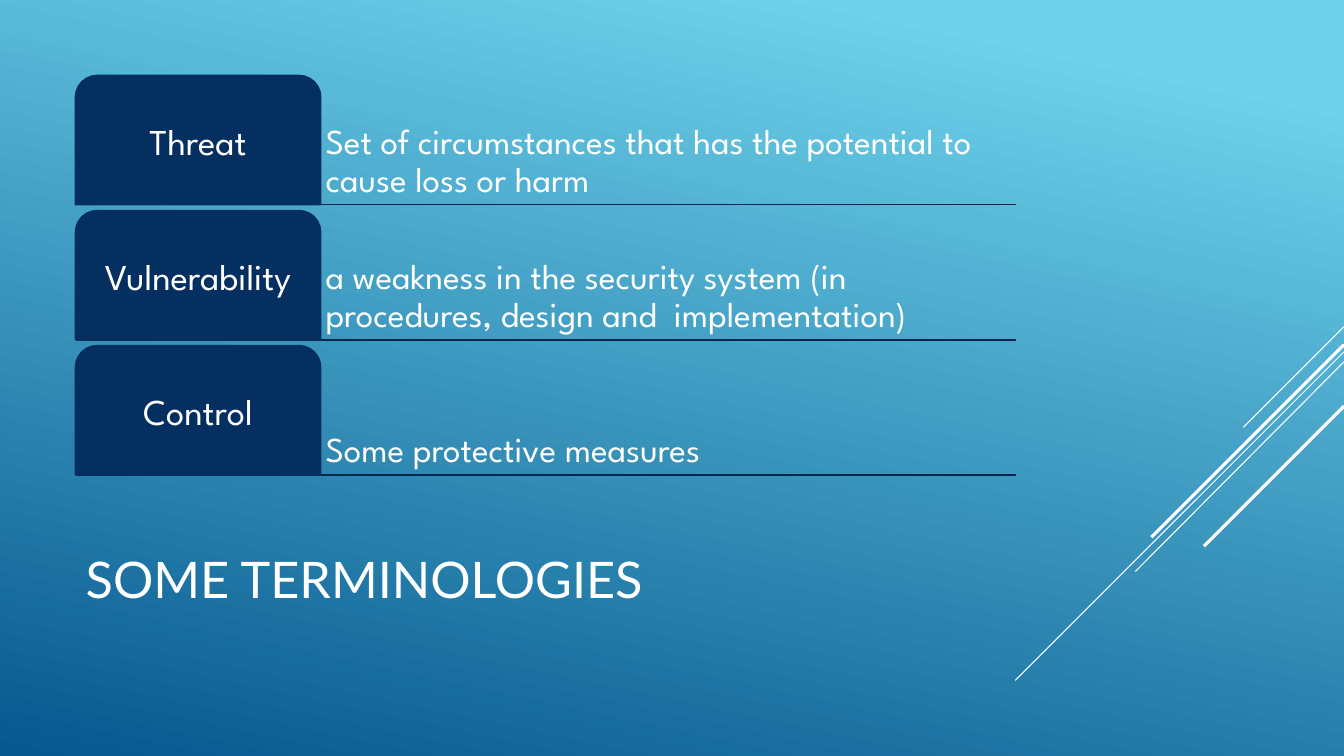
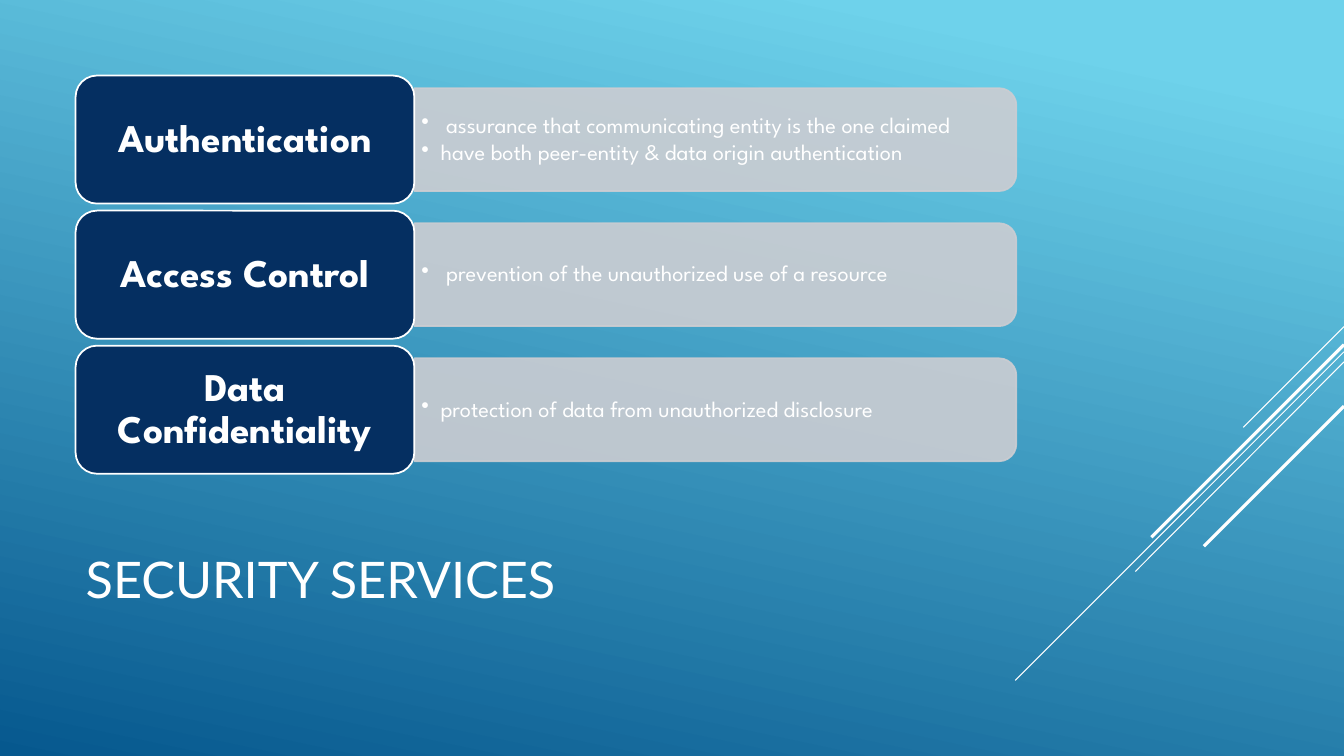
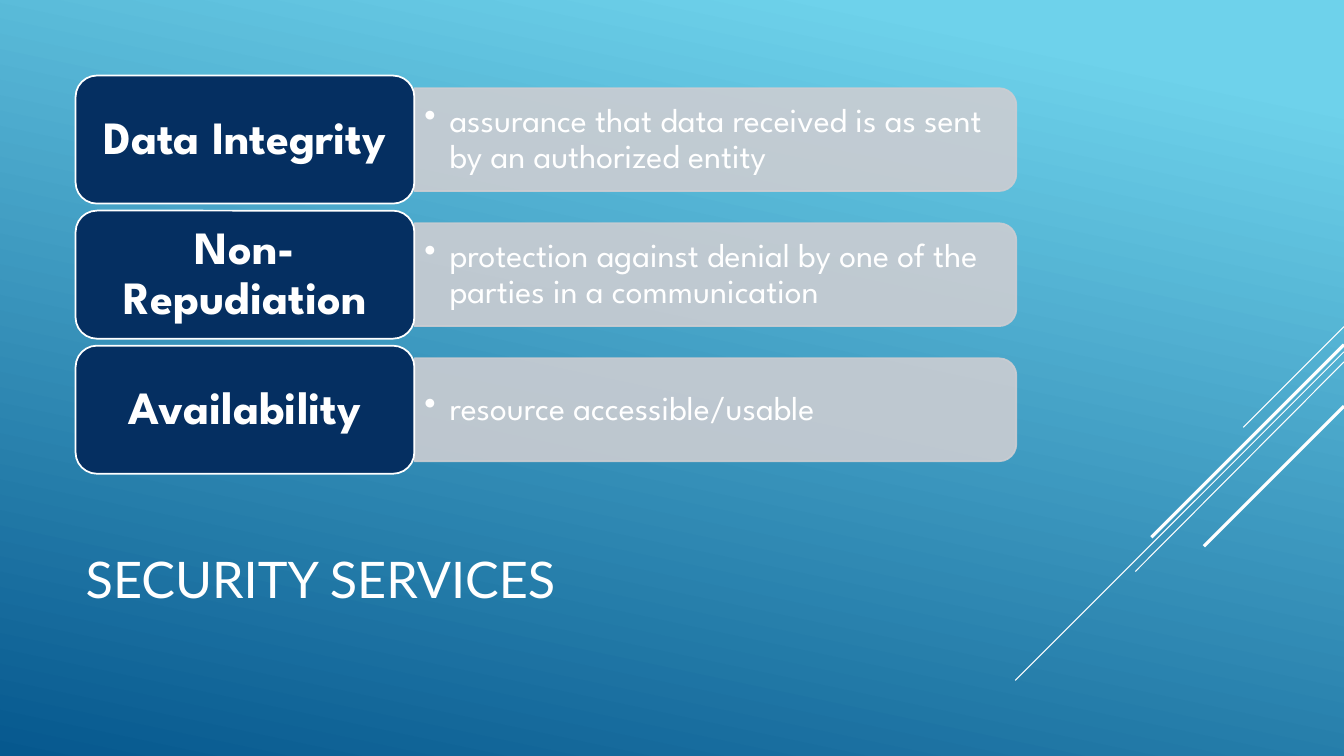
from dataclasses import dataclass

from lxml import etree
from pptx import Presentation
from pptx.dml.color import RGBColor
from pptx.enum.shapes import MSO_CONNECTOR, MSO_SHAPE
from pptx.enum.text import MSO_ANCHOR, MSO_AUTO_SIZE, PP_ALIGN
from pptx.oxml.ns import qn
from pptx.util import Inches, Pt

STRAIGHT = MSO_CONNECTOR.STRAIGHT
ROUNDED = MSO_SHAPE.ROUNDED_RECTANGLE
TOP_ROUNDED = MSO_SHAPE.ROUND_2_SAME_RECTANGLE
MIDDLE, BOTTOM = MSO_ANCHOR.MIDDLE, MSO_ANCHOR.BOTTOM
LEFT, CENTER = PP_ALIGN.LEFT, PP_ALIGN.CENTER
NO_FIT = MSO_AUTO_SIZE.NONE

COLORS = {
    "sky": "6ED2EB",
    "ocean": "06588E",
    "navy": "052F61",
    "rule": "04264E",
    "panel": "CCCDD2",
    "white": "FFFFFF",
}
TITLE_FONT = "Lato"
BODY_FONT = "League Spartan"

CONTENT_LEFT, CONTENT_TOP, CONTENT_RIGHT = 0.75, 0.75, 10.08
ROW_PITCH = 1.34
TAB_WIDTH, TAB_HEIGHT = 2.43, 1.28
CARD_WIDTH, CARD_HEIGHT = 3.36, 1.27
PANEL_HEIGHT, PANEL_OPACITY = 1.02, 90


@dataclass(frozen=True)
class Stripe:
    start_y: float
    end_x: float
    end_y: float
    weight: float


@dataclass(frozen=True)
class Entry:
    term: str
    details: tuple[str, ...]


@dataclass(frozen=True)
class TextStyle:
    size: float
    align: PP_ALIGN = LEFT
    anchor: MSO_ANCHOR = MIDDLE
    inset_x: float = 0.05
    inset_y: float = 0.05
    bold: bool = False
    bullet_indent: float = 0


@dataclass(frozen=True)
class ServiceSlide:
    entries: tuple[Entry, ...]
    term_style: TextStyle
    detail_style: TextStyle


STRIPES = (
    Stripe(3.24, 12.33, 4.24, 0.75),
    Stripe(3.49, 10.07, 6.75, 0.75),
    Stripe(3.59, 11.26, 5.67, 0.75),
    Stripe(3.42, 11.42, 5.33, 2.25),
    Stripe(4.03, 11.94, 5.42, 2.25),
)

TERMINOLOGY = (
    Entry("Threat", ("Set of circumstances that has the potential to cause loss or harm",)),
    Entry("Vulnerability", ("a weakness in the security system (in procedures, design and  implementation)",)),
    Entry("Control", ("Some protective measures",)),
)
TAB_STYLE = TextStyle(26, align=CENTER)
DEFINITION_STYLE = TextStyle(25, anchor=BOTTOM)

SERVICE_SLIDES = (
    ServiceSlide(
        (
            Entry("Authentication", (
                " assurance that communicating entity is the one claimed",
                "have both peer-entity & data origin authentication",
            )),
            Entry("Access Control", (" prevention of the unauthorized use of a resource",)),
            Entry("Data Confidentiality", ("protection of data from unauthorized disclosure",)),
        ),
        TextStyle(28, align=CENTER, inset_x=0.12, inset_y=0.06, bold=True),
        TextStyle(16, inset_x=0.07, inset_y=0.03, bullet_indent=0.19),
    ),
    ServiceSlide(
        (
            Entry("Data Integrity", ("assurance that data received is as sent by an authorized entity",)),
            Entry("Non-Repudiation", ("protection against denial by one of the parties in a communication",)),
            Entry("Availability", ("resource accessible/usable",)),
        ),
        TextStyle(33, align=CENTER, inset_x=0.14, inset_y=0.07, bold=True),
        TextStyle(24, inset_x=0.1, inset_y=0.05, bullet_indent=0.25),
    ),
)


def rgb(name: str) -> RGBColor:
    return RGBColor.from_string(COLORS[name])


def row_top(row: int) -> float:
    return CONTENT_TOP + row * ROW_PITCH


def add_run(paragraph, text: str, size: float, font: str, bold: bool = False) -> None:
    run = paragraph.add_run()
    run.text = text
    run.font.size = Pt(size)
    run.font.name = font
    run.font.bold = bold
    run.font.color.rgb = rgb("white")


def write(shape, lines: tuple[str, ...], style: TextStyle) -> None:
    frame = shape.text_frame
    frame.word_wrap = True
    frame.auto_size = NO_FIT
    frame.vertical_anchor = style.anchor
    frame.margin_left = frame.margin_right = Inches(style.inset_x)
    frame.margin_top = frame.margin_bottom = Inches(style.inset_y)
    for index, line in enumerate(lines):
        paragraph = frame.add_paragraph() if index else frame.paragraphs[0]
        paragraph.alignment = style.align
        paragraph.line_spacing = 0.9
        if style.bullet_indent:
            paragraph.space_after = Pt(style.size * 0.15)
            properties = paragraph._p.get_or_add_pPr()
            properties.set("marL", str(Inches(style.bullet_indent)))
            properties.set("indent", str(-Inches(style.bullet_indent)))
            etree.SubElement(properties, qn("a:buChar")).set("char", "•")
        add_run(paragraph, line, style.size, BODY_FONT, style.bold)


def add_line(slide, start: tuple[float, float], end: tuple[float, float], color: str, weight: float) -> None:
    line = slide.shapes.add_connector(STRAIGHT, *(Inches(value) for value in start + end))
    line.line.color.rgb = rgb(color)
    line.line.width = Pt(weight)
    etree.SubElement(line._element.spPr, qn("a:effectLst"))


def add_block(slide, kind: MSO_SHAPE, box: tuple[float, ...], fill: str, outline: str):
    block = slide.shapes.add_shape(kind, *(Inches(value) for value in box))
    block.shadow.inherit = False
    block.fill.solid()
    block.fill.fore_color.rgb = rgb(fill)
    block.line.color.rgb = rgb(outline)
    block.line.width = Pt(1.25)
    return block


def add_text(slide, box: tuple[float, ...], lines: tuple[str, ...], style: TextStyle) -> None:
    write(slide.shapes.add_textbox(*(Inches(value) for value in box)), lines, style)


def set_background(master) -> None:
    fill = master.background.fill
    fill.gradient()
    fill.gradient_angle = 258
    for stop, color, position in zip(fill.gradient_stops, ("sky", "ocean"), (0.1, 1)):
        stop.color.rgb = rgb(color)
        stop.position = position


def add_titled_slide(deck, heading: str):
    slide = deck.slides.add_slide(deck.slide_layouts.get_by_name("Title Only"))
    for stripe in STRIPES:
        add_line(slide, (13.33, stripe.start_y), (stripe.end_x, stripe.end_y), "white", stripe.weight)
    title = slide.shapes.title
    title.left, title.top = Inches(CONTENT_LEFT), Inches(4.91)
    title.width, title.height = Inches(9.33), Inches(1.65)
    frame = title.text_frame
    frame.auto_size = NO_FIT
    frame.vertical_anchor = MIDDLE
    frame.paragraphs[0].alignment = LEFT
    add_run(frame.paragraphs[0], heading, 36, TITLE_FONT)
    return slide


def add_definition(slide, row: int, entry: Entry) -> None:
    top = row_top(row)
    bottom = top + TAB_HEIGHT
    detail_left = CONTENT_LEFT + TAB_WIDTH
    add_line(slide, (CONTENT_LEFT, bottom), (CONTENT_RIGHT, bottom), "rule", 1.25)
    add_text(slide, (detail_left, top, CONTENT_RIGHT - detail_left, TAB_HEIGHT), entry.details, DEFINITION_STYLE)
    tab = add_block(slide, TOP_ROUNDED, (CONTENT_LEFT, top, TAB_WIDTH, TAB_HEIGHT), "navy", "navy")
    write(tab, (entry.term,), TAB_STYLE)


def add_service(slide, row: int, entry: Entry, content: ServiceSlide) -> None:
    top = row_top(row)
    center_y = top + CARD_HEIGHT / 2
    panel_left = CONTENT_LEFT + CARD_WIDTH
    panel_width = CONTENT_RIGHT - panel_left
    panel_box = (
        panel_left + (panel_width - PANEL_HEIGHT) / 2,
        center_y - panel_width / 2,
        PANEL_HEIGHT,
        panel_width,
    )
    panel = add_block(slide, TOP_ROUNDED, panel_box, "panel", "panel")
    panel.rotation = 90
    for color in panel._element.spPr.iter(qn("a:srgbClr")):
        etree.SubElement(color, qn("a:alpha")).set("val", str(PANEL_OPACITY * 1000))
    add_text(slide, (panel_left, center_y - 0.46, 5.92, 0.92), entry.details, content.detail_style)
    card = add_block(slide, ROUNDED, (CONTENT_LEFT, top, CARD_WIDTH, CARD_HEIGHT), "navy", "white")
    write(card, (entry.term,), content.term_style)


def main() -> None:
    deck = Presentation()
    deck.slide_width, deck.slide_height = Inches(13.33), Inches(7.5)
    set_background(deck.slide_master)

    terminology = add_titled_slide(deck, "SOME TERMINOLOGIES")
    for row, entry in enumerate(TERMINOLOGY):
        add_definition(terminology, row, entry)

    for content in SERVICE_SLIDES:
        services = add_titled_slide(deck, "SECURITY SERVICES")
        for row, entry in enumerate(content.entries):
            add_service(services, row, entry, content)

    deck.save("out.pptx")


if __name__ == "__main__":
    main()
